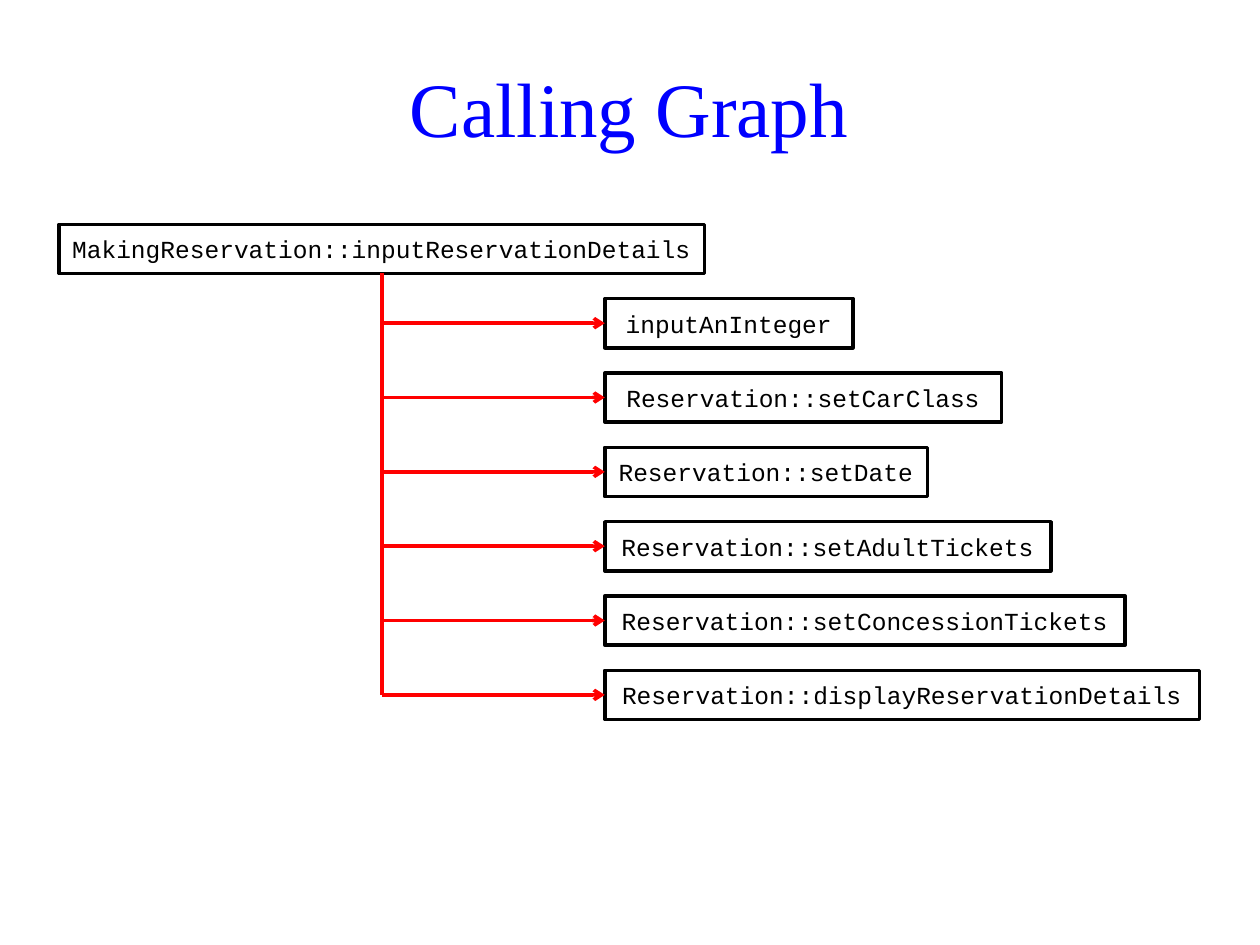
from dataclasses import dataclass

from lxml import etree
from pptx import Presentation
from pptx import util as u
from pptx.dml.color import RGBColor
from pptx.enum import shapes, text
from pptx.oxml import ns


@dataclass(frozen=True)
class Theme:
    title_color: RGBColor = RGBColor(0x00, 0x00, 0xFF)
    ink: RGBColor = RGBColor(0x00, 0x00, 0x00)
    call: RGBColor = RGBColor(0xFF, 0x00, 0x00)
    title_font: str = "Times New Roman"
    code_font: str = "Courier New"
    title_size: int = 44
    code_size: int = 14
    line_width: int = 2


def write(tf, content, *, font, size, color, spacing=None, wrap=True):
    """Put one centred paragraph into a text frame."""
    tf.word_wrap = wrap
    tf.vertical_anchor = text.MSO_ANCHOR.MIDDLE
    p = tf.paragraphs[0]
    p.alignment = text.PP_ALIGN.CENTER
    if spacing:
        p.line_spacing = spacing
    r = p.add_run()
    r.text = content
    r.font.name = font
    r.font.size = u.Pt(size)
    r.font.color.rgb = color


class Deck:
    """Holds the theme and the current slide."""

    def __init__(self, prs, theme):
        self.theme = theme
        self.slide = prs.slides.add_slide(prs.slide_layouts[6])

    def title(self, content, left, top, width, height):
        t = self.theme
        sp = self.slide.shapes.add_textbox(
            *map(u.Inches, (left, top, width, height)))
        write(sp.text_frame, content, font=t.title_font, size=t.title_size,
              color=t.title_color, spacing=0.9)

    def function_box(self, name, left, top, width, height):
        t = self.theme
        sp = self.slide.shapes.add_shape(
            shapes.MSO_SHAPE.FLOWCHART_PROCESS,
            *map(u.Inches, (left, top, width, height)))
        sp.shadow.inherit = False
        sp.fill.background()
        sp.line.color.rgb = t.ink
        sp.line.width = u.Pt(t.line_width)
        write(sp.text_frame, name, font=t.code_font, size=t.code_size,
              color=t.ink, wrap=False)
        return sp

    def line(self, x1, y1, x2, y2, source=None, target=None, arrow=False):
        """Draw a line from a box's bottom and/or to a box's left side."""
        cx = self.slide.shapes.add_connector(
            shapes.MSO_CONNECTOR.STRAIGHT, *map(u.Inches, (x1, y1, x2, y2)))
        if source is not None:
            cx.begin_connect(source, 2)
        if target is not None:
            cx.end_connect(target, 1)
        cx.line.color.rgb = self.theme.call
        cx.line.width = u.Pt(self.theme.line_width)
        if arrow:
            etree.SubElement(cx.line._get_or_add_ln(), ns.qn("a:tailEnd"),
                             type="arrow")
        etree.SubElement(cx._element.spPr, ns.qn("a:effectLst"))


# Caller, and callees with their box widths in calling order
CALLER = "MakingReservation::inputReservationDetails"
CALLEES = [
    ("inputAnInteger", 1.97),
    ("Reservation::setCarClass", 3.15),
    ("Reservation::setDate", 2.56),
    ("Reservation::setAdultTickets", 3.54),
    ("Reservation::setConcessionTickets", 4.13),
    ("Reservation::displayReservationDetails", 4.72),
]

# Layout in inches
BOX_H = 0.39
PITCH = 0.59
CALLER_LEFT, CALLER_TOP, CALLER_W = 0.47, 1.78, 5.12
CALLEE_LEFT = 4.8
TRUNK_X = CALLER_LEFT + CALLER_W / 2


def main():
    prs = Presentation()
    prs.slide_width, prs.slide_height = u.Inches(10), u.Inches(7.5)
    s = Deck(prs, Theme())

    s.title("Calling Graph", 0.27, 0.4, 9.45, 0.98)
    caller = s.function_box(CALLER, CALLER_LEFT, CALLER_TOP, CALLER_W, BOX_H)

    # One row per callee, each reached by an arrow from the trunk
    for row, (name, width) in enumerate(CALLEES, start=1):
        top = CALLER_TOP + row * PITCH
        middle = top + BOX_H / 2
        callee = s.function_box(name, CALLEE_LEFT, top, width, BOX_H)
        s.line(TRUNK_X, middle, CALLEE_LEFT, middle, target=callee, arrow=True)

    # Trunk from the caller down to the last arrow
    s.line(TRUNK_X, CALLER_TOP + BOX_H, TRUNK_X, middle, source=caller)

    prs.save("out.pptx")


if __name__ == "__main__":
    main()
